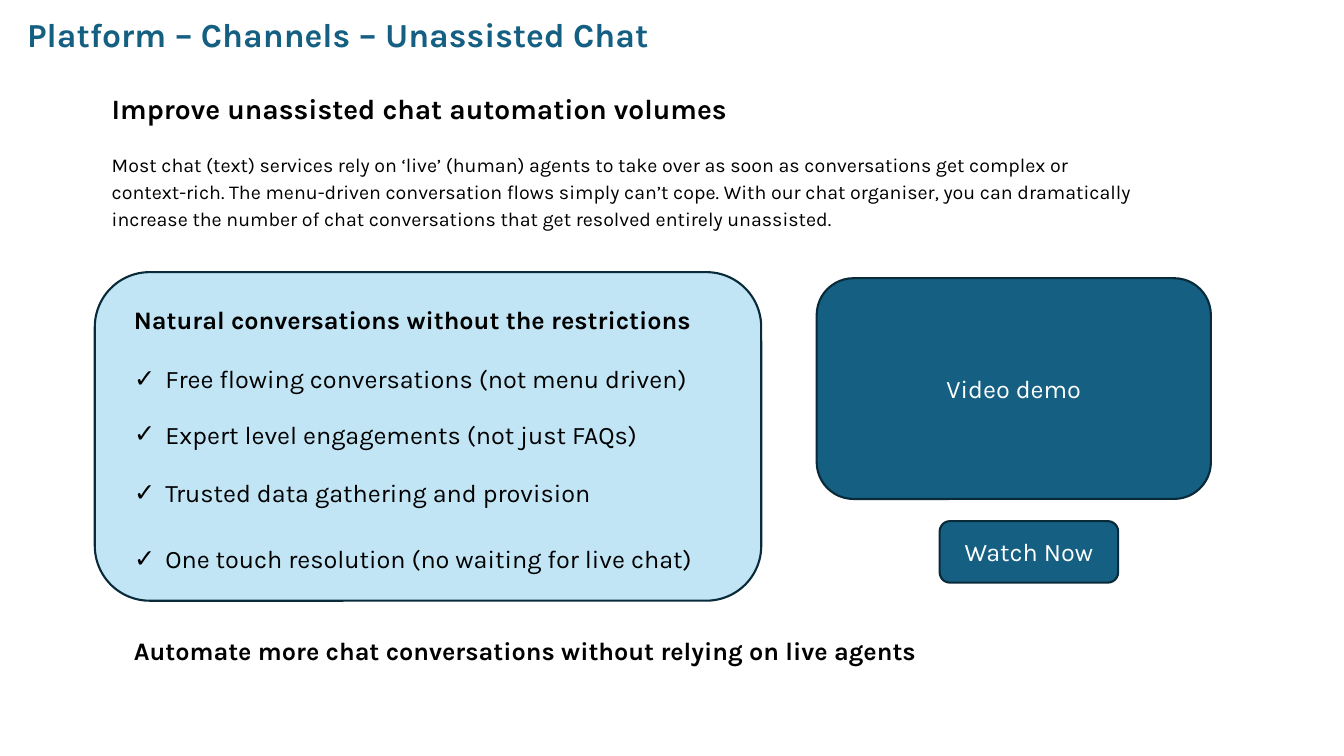
from lxml import etree
from pptx import Presentation
from pptx.dml.color import RGBColor
from pptx.enum.shapes import MSO_SHAPE
from pptx.enum.text import MSO_ANCHOR, MSO_AUTO_SIZE, PP_ALIGN
from pptx.oxml.ns import qn
from pptx.util import Inches, Pt

ROUNDED = MSO_SHAPE.ROUNDED_RECTANGLE
TOP, MIDDLE = MSO_ANCHOR.TOP, MSO_ANCHOR.MIDDLE
LEFT, CENTER = PP_ALIGN.LEFT, PP_ALIGN.CENTER
NO_AUTOFIT = MSO_AUTO_SIZE.NONE

FONT = "Karla"
BLUE, PALE_BLUE, OUTLINE = "156082", "C1E5F5", "092A39"
BLACK, WHITE = "000000", "FFFFFF"
LINE_SPACING = 1.15
BULLET_INDENT = Inches(0.31)

INTRODUCTION = (
    "Most chat (text) services rely on ‘live’ (human) agents to take over as soon as "
    "conversations get complex or context-rich. The menu-driven conversation flows simply "
    "can’t cope. With our chat organiser, you can dramatically increase the number of chat "
    "conversations that get resolved entirely unassisted."
)
# Each benefit with the points of space after it
BENEFITS = [
    ("Free flowing conversations (not menu driven)", 15),
    ("Expert level engagements (not just FAQs)", 17),
    ("Trusted data gathering and provision", 22),
    ("One touch resolution (no waiting for live chat)", 0),
]


def color(hex_string):
    return RGBColor.from_string(hex_string)


def place(shape, left, top, width, height):
    shape.left, shape.top = Inches(left), Inches(top)
    shape.width, shape.height = Inches(width), Inches(height)


def format_paragraph(paragraph, size, text_color=BLACK, bold=False, align=LEFT, spacing=1.0):
    paragraph.alignment = align
    paragraph.line_spacing = spacing
    paragraph.space_before = Pt(0)
    for run in paragraph.runs:
        run.font.name = FONT
        run.font.size = Pt(size)
        run.font.bold = bold
        run.font.color.rgb = color(text_color)


def prepare_frame(shape, anchor=TOP):
    frame = shape.text_frame
    frame.word_wrap = True
    frame.auto_size = NO_AUTOFIT
    frame.vertical_anchor = anchor
    return frame


def add_title(slide, left, top, width, height):
    title = slide.shapes.title
    place(title, left, top, width, height)
    frame = prepare_frame(title)
    frame.text = "Platform – Channels – Unassisted Chat"
    format_paragraph(frame.paragraphs[0], 24, BLUE, bold=True)


def add_text(slide, text, left, top, width, height, size=18, bold=True):
    box = slide.shapes.add_textbox(0, 0, 0, 0)
    place(box, left, top, width, height)
    frame = prepare_frame(box)
    frame.text = text
    format_paragraph(frame.paragraphs[0], size, bold=bold, spacing=LINE_SPACING)


def add_rounded_box(slide, left, top, width, height, fill=BLUE, label=""):
    box = slide.shapes.add_shape(ROUNDED, 0, 0, 0, 0)
    place(box, left, top, width, height)
    box.shadow.inherit = False
    box.fill.solid()
    box.fill.fore_color.rgb = color(fill)
    box.line.color.rgb = color(OUTLINE)
    box.line.width = Pt(1.5)
    if label:
        frame = prepare_frame(box, MIDDLE)
        frame.text = label
        format_paragraph(frame.paragraphs[0], 18, WHITE, align=CENTER)
    return box


def add_check_bullet(paragraph):
    properties = paragraph._p.get_or_add_pPr()
    properties.set("marL", str(BULLET_INDENT))
    properties.set("indent", str(-BULLET_INDENT))
    etree.SubElement(properties, qn("a:buChar")).set("char", "✓")


def add_benefits(slide, left, top, width, height):
    panel = add_rounded_box(slide, left, top, width, height, PALE_BLUE)
    add_text(slide, "Natural conversations without the restrictions",
             left + 0.29, top + 0.23, 6, 0.43)

    benefit_list = slide.placeholders[1]
    panel.element.addnext(benefit_list.element)  # keeps the list in front of the panel
    place(benefit_list, left + 0.29, top + 0.81, 6, 2.18)
    frame = prepare_frame(benefit_list)
    frame.text = "\n".join(text for text, _ in BENEFITS)
    for paragraph, (_, space_after) in zip(frame.paragraphs, BENEFITS):
        add_check_bullet(paragraph)
        format_paragraph(paragraph, 18, spacing=LINE_SPACING)
        paragraph.space_after = Pt(space_after)


def add_video(slide, left, top, width, height):
    """Video panel with its button centred below."""
    add_rounded_box(slide, left, top, width, height, label="Video demo")
    button_width = 1.77
    button_left = left + (width - button_width) / 2 + 0.15
    add_rounded_box(slide, button_left, top + height + 0.22, button_width, 0.61,
                    label="Watch Now")


def main():
    presentation = Presentation()
    presentation.slide_width, presentation.slide_height = Inches(13.33), Inches(7.5)
    slide = presentation.slides.add_slide(presentation.slide_layouts[1])
    add_title(slide, 0.17, 0.09, 7.44, 0.5)
    add_text(slide, "Improve unassisted chat automation volumes", 1.01, 0.81, 6.67, 0.47, size=20)
    add_text(slide, INTRODUCTION, 1.01, 1.43, 10.4, 0.9, size=14, bold=False)
    add_benefits(slide, 0.94, 2.7, 6.61, 3.26)
    add_video(slide, 8.1, 2.76, 3.91, 2.19)
    add_text(slide, "Automate more chat conversations without relying on live agents",
             1.23, 6.21, 8.77, 0.43)
    presentation.save("out.pptx")


if __name__ == "__main__":
    main()
